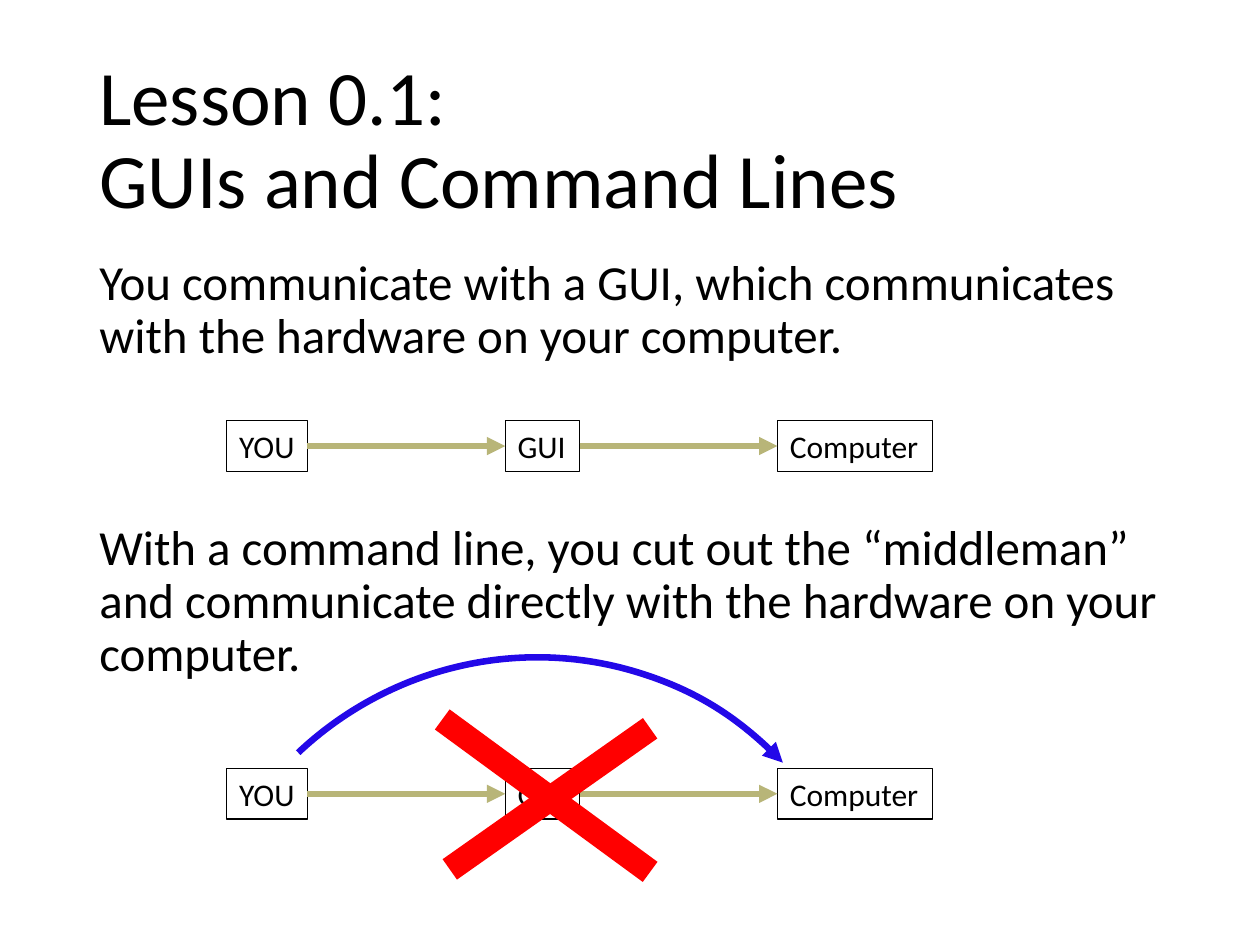
from pptx import Presentation
from pptx import util as u
from pptx.dml.color import RGBColor
from pptx.enum import shapes, text
from pptx.oxml.ns import qn
from lxml import etree

BLACK, KHAKI, BLUE, RED = "000000", "B8B578", "2308E8", "FF0000"
NODES = [("YOU", 0, 0.64), ("GUI", 2.21, 0.59), ("Computer", 4.37, 1.23)]


def color(value):
    """Turn a hex string into a colour."""
    return RGBColor.from_string(value)


def set_line(sp, hex_color, width, arrow=False):
    """Style an outline, with an arrowhead at its end if asked."""
    sp.line.color.rgb = color(hex_color)
    sp.line.width = u.Pt(width)
    if arrow:
        ln = sp.line._get_or_add_ln()
        etree.SubElement(ln, qn("a:tailEnd"), type="triangle")


def add_line(s, start, end, hex_color, width, arrow=False):
    """Draw a straight line without a shadow."""
    points = [u.Inches(v) for v in (*start, *end)]
    sp = s.shapes.add_connector(shapes.MSO_CONNECTOR.STRAIGHT, *points)
    set_line(sp, hex_color, width, arrow)
    etree.SubElement(sp._element.spPr, qn("a:effectLst"))
    return sp


def add_preset(s, kind, box):
    """Add an unfilled, unshadowed preset shape."""
    sp = s.shapes.add_shape(kind, *map(u.Inches, box))
    sp.shadow.inherit = False
    sp.fill.background()
    return sp


def write(tf, paragraphs, size, frame, para):
    """Fill a text frame and apply the frame and paragraph formats."""
    for name, value in frame.items():
        setattr(tf, name, value)
    for i, words in enumerate(paragraphs):
        p = tf.add_paragraph() if i else tf.paragraphs[0]
        p.text = words
        for name, value in para.items():
            setattr(p, name, value)
        for r in p.runs:
            r.font.name, r.font.size = "Calibri", u.Pt(size)
            r.font.color.rgb = color(BLACK)


def add_text(s, box, paragraphs, size, anchor):
    """Place a wrapped text block in its box."""
    sp = s.shapes.add_textbox(*map(u.Inches, box))
    write(sp.text_frame, paragraphs, size,
          {"word_wrap": True, "vertical_anchor": anchor},
          {"line_spacing": 0.9})
    return sp


def add_flow(s, left, top, height):
    """Draw the three labelled boxes and the arrows joining them."""
    boxes = []
    for label, offset, width in NODES:
        sp = add_preset(s, shapes.MSO_SHAPE.RECTANGLE,
                        (left + offset, top, width, height))
        set_line(sp, BLACK, 0.75)
        write(sp.text_frame, [label], 18,
              {"word_wrap": False, "vertical_anchor": text.MSO_ANCHOR.TOP,
               "auto_size": text.MSO_AUTO_SIZE.SHAPE_TO_FIT_TEXT},
              {"alignment": text.PP_ALIGN.LEFT})
        boxes.append(sp)
    for a, b in zip(boxes, boxes[1:]):
        sp = add_line(s, (0, 0), (1, 0), KHAKI, 3.5, arrow=True)
        sp.begin_connect(a, 3)
        sp.end_connect(b, 1)


def add_bypass(s, box):
    """Draw the curved arrow that skips the middle box."""
    sp = add_preset(s, shapes.MSO_SHAPE.ARC, box)
    sp.rotation = 316.7
    set_line(sp, BLUE, 3.75, arrow=True)


def add_cross(s):
    """Strike out the middle box with two thick lines."""
    for start, end in [((3.51, 5.71), (5.16, 6.92)), ((3.57, 6.9), (5.16, 5.78))]:
        add_line(s, start, end, RED, 14.25)


def main():
    """Build the slide and save it."""
    prs = Presentation()
    prs.slide_width, prs.slide_height = u.Inches(10), u.Inches(7.5)
    s = prs.slides.add_slide(prs.slide_layouts[6])
    add_text(s, (0.69, 0.4, 8.62, 1.45), ["Lesson 0.1:\vGUIs and Command Lines"],
             44, text.MSO_ANCHOR.MIDDLE)
    body = add_text(s, (0.69, 2, 8.62, 4.76), [
        "You communicate with a GUI, which communicates with the hardware on your computer.",
        "With a command line, you cut out the “middleman” and communicate directly "
        "with the hardware on your computer.",
    ], 28, text.MSO_ANCHOR.TOP)
    body.text_frame.paragraphs[1].space_before = u.Pt(91)
    for top in (3.34, 6.1):
        add_flow(s, 1.8, top, 0.4)
    add_bypass(s, (1.47, 5.24, 5.49, 5.39))
    add_cross(s)
    prs.save("out.pptx")


if __name__ == "__main__":
    main()
